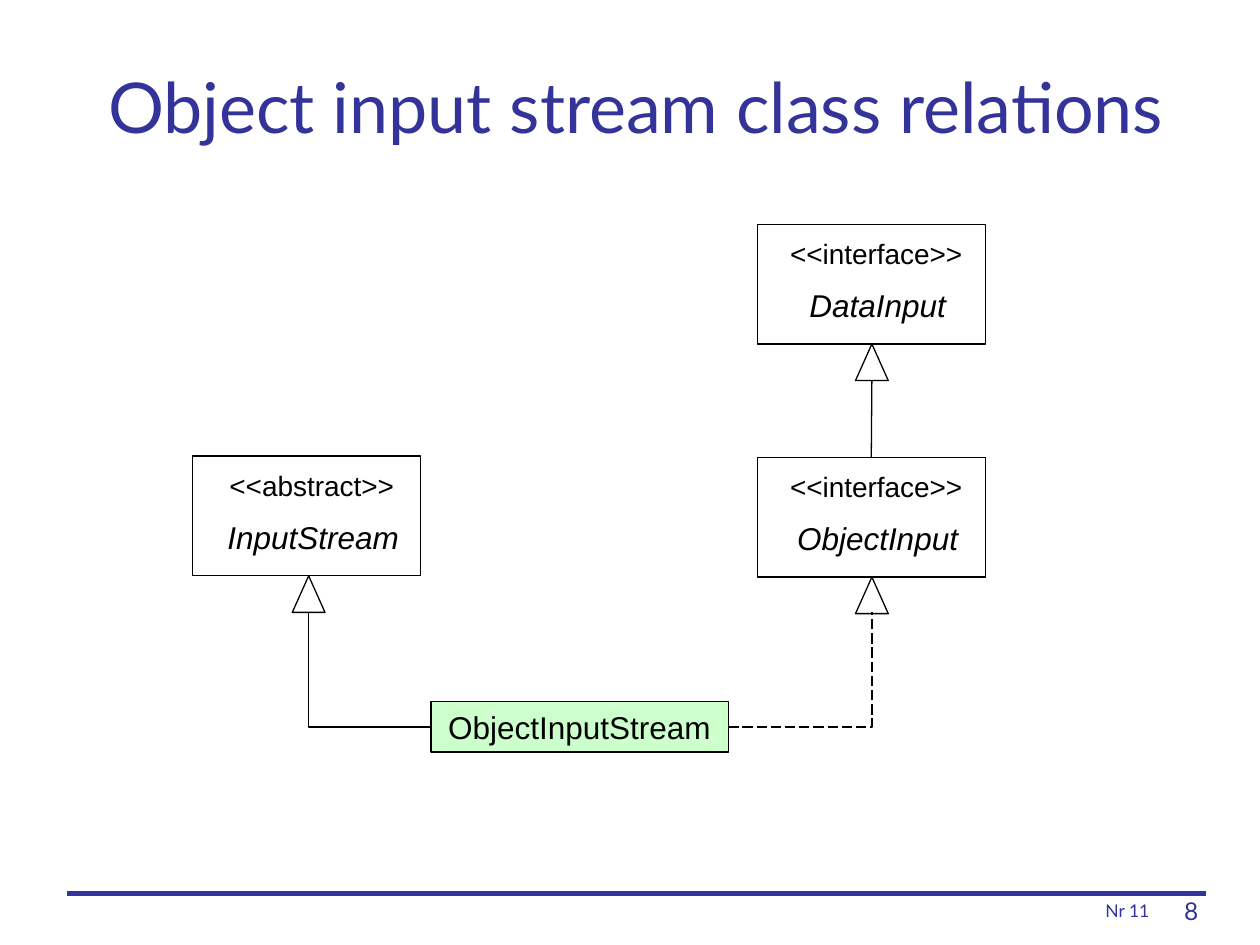
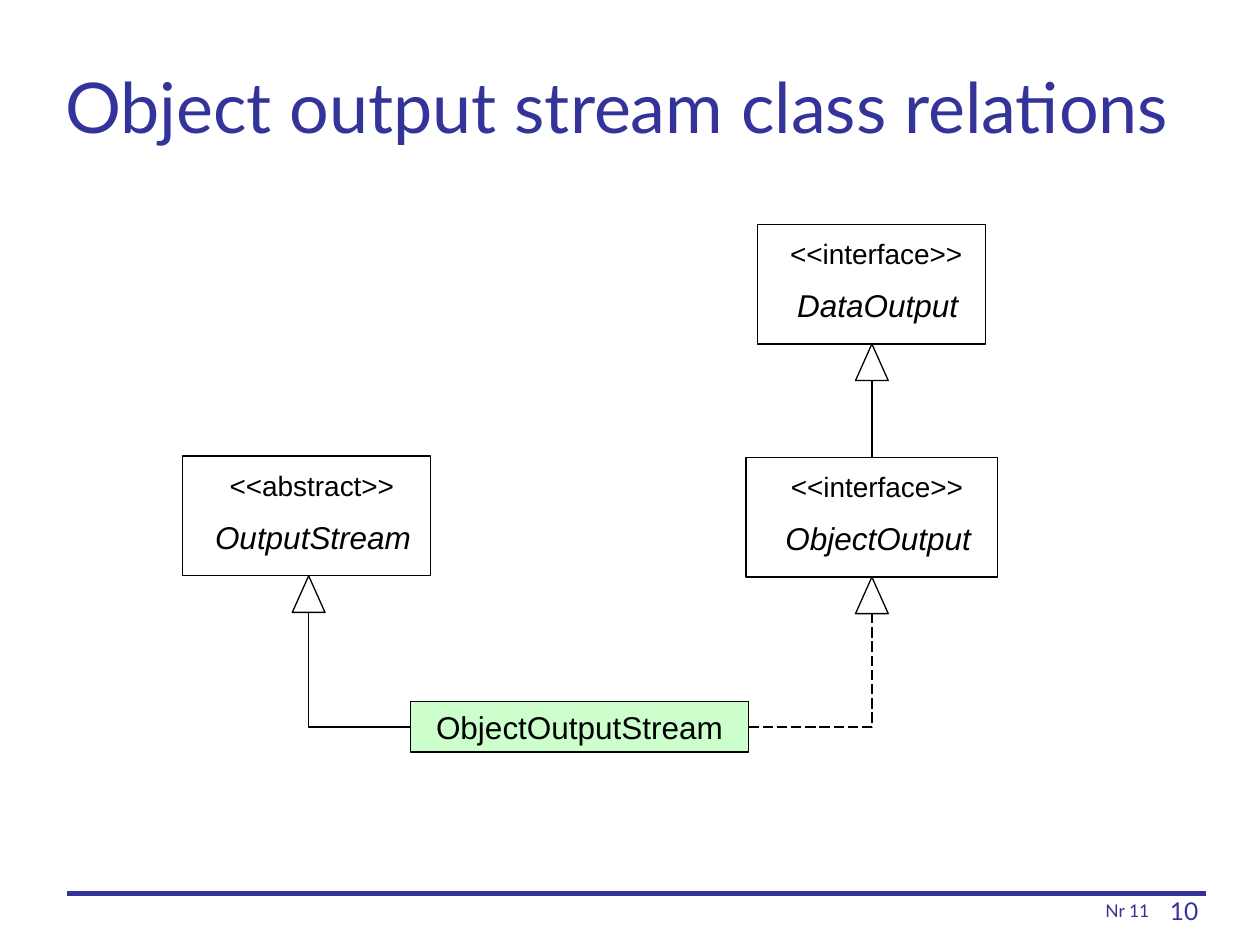
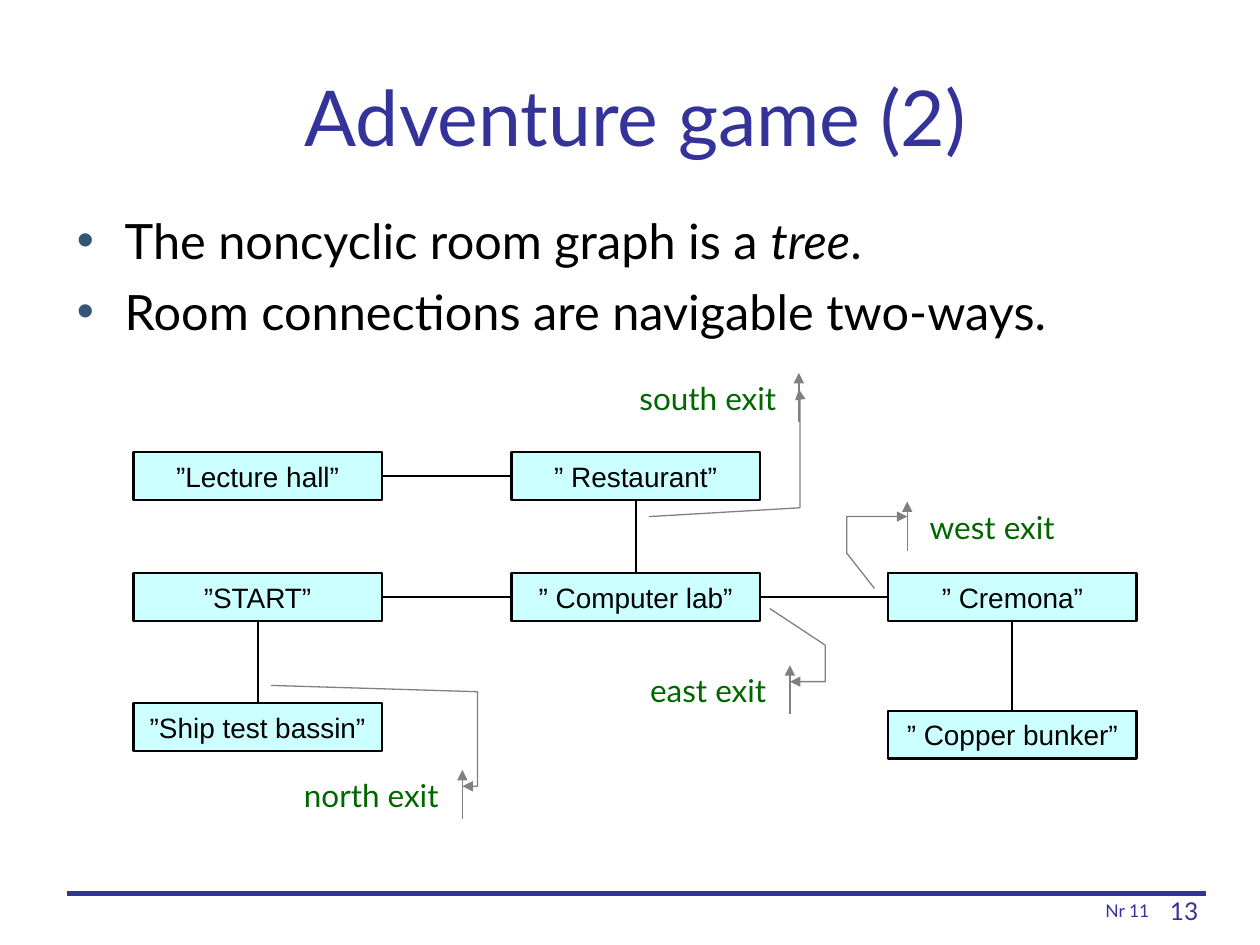
from pptx import Presentation
from pptx import util as u
from pptx.dml.color import RGBColor
from pptx.enum import dml, shapes, text
from pptx.oxml import parse_xml
from pptx.oxml.ns import nsdecls, qn

# Shared colours and text formats
C = {"navy": "333399", "black": "000000", "green": "CCFFCC", "cyan": "CCFFFF",
     "gray": "808080", "exit": "006600", "bullet": "345577"}
FMT = {
    "title": {"name": "Lato", "size": u.Pt(40), "color": "navy"},
    "number": {"name": "Lato", "size": u.Pt(14), "color": "navy"},
    "footer": {"name": "Lato", "size": u.Pt(10), "color": "navy"},
    "body": {"name": "Lato", "size": u.Pt(27.8), "color": "black"},
    "exit": {"name": "Lato", "size": u.Pt(18), "color": "exit"},
    "class": {"name": "Arial", "size": u.Pt(18), "color": "black"},
    "abstract": {"name": "Arial", "size": u.Pt(18), "color": "black", "italic": True},
    "label": {"name": "Arial", "size": u.Pt(16), "color": "black"},
}
LEFT, CENTER, RIGHT = text.PP_ALIGN.LEFT, text.PP_ALIGN.CENTER, text.PP_ALIGN.RIGHT
TOP, MIDDLE, BOTTOM = text.MSO_ANCHOR.TOP, text.MSO_ANCHOR.MIDDLE, text.MSO_ANCHOR.BOTTOM
RECT, TRIANGLE = shapes.MSO_SHAPE.RECTANGLE, shapes.MSO_SHAPE.ISOSCELES_TRIANGLE
STRAIGHT, ELBOW = shapes.MSO_CONNECTOR.STRAIGHT, shapes.MSO_CONNECTOR.ELBOW


def write(sp, words, fmt, align=CENTER, anchor=MIDDLE, p=None):
    """Add a formatted run to a paragraph of the shape, by default the first."""
    tf = sp.text_frame
    tf.word_wrap, tf.auto_size, tf.vertical_anchor = True, text.MSO_AUTO_SIZE.NONE, anchor
    p = p or tf.paragraphs[0]
    p.alignment, p.space_before = align, p.space_before or u.Pt(0)
    r = p.add_run()
    r.text = words
    for key, value in fmt.items():
        if key == "color":
            r.font.color.rgb = RGBColor.from_string(C[value])
        else:
            setattr(r.font, key, value)


def style(sp, color="black", width=0.75, fill=None):
    """Set outline and fill, without a shadow."""
    sp.line.color.rgb = RGBColor.from_string(C[color])
    sp.line.width = u.Pt(width)
    if isinstance(sp, type(None)) or not hasattr(sp, "fill"):
        sp._element.spPr.append(parse_xml(f"<a:effectLst {nsdecls('a')}/>"))
        return sp
    sp.shadow.inherit = False
    if fill:
        sp.fill.solid()
        sp.fill.fore_color.rgb = RGBColor.from_string(C[fill])
    else:
        sp.fill.background()
    return sp


prs = Presentation()
prs.slide_width, prs.slide_height = u.Inches(10), u.Inches(7.5)

# Titles and footers: layout, number, title, title left, top, width, size
slides = []
for layout, number, title, x, y, w, size in [
    (5, 8, "Object input stream class relations", 0.51, 0.21, 9.07, 40),
    (5, 10, "Object output stream class relations", 0.2, 0.21, 9.39, 40),
    (1, 13, "Adventure game (2)", 0.51, 0.29, 9.07, 44),
]:
    s = prs.slides.add_slide(prs.slide_layouts[layout])
    slides.append(s)
    sp = s.shapes.title
    sp.left, sp.top, sp.width, sp.height = map(u.Inches, (x, y, w, 1.25))
    write(sp, title, {**FMT["title"], "size": u.Pt(size)})
    style(s.shapes.add_connector(STRAIGHT, *map(u.Inches, (0.53, 7.09, 9.57, 7.09))), "navy", 3)
    sp = s.shapes.add_textbox(*map(u.Inches, (9.08, 7.06, 0.58, 0.33)))
    write(sp, f"{number} ", FMT["number"], RIGHT, TOP)
    sp = s.shapes.add_textbox(*map(u.Inches, (7.44, 7.06, 1.78, 0.3)))
    write(sp, "Nr 11", FMT["footer"], RIGHT, BOTTOM)

# Class diagrams: stream side, then each class box's left and width
LEFT_AXIS, RIGHT_AXIS, JOIN = 2.45, 6.92, 5.77
for s, kind, stream_x, stream_w, base, data, obj in [
    (slides[0], "Input", 3.42, 2.36, (1.53, 1.81), (6.01, 1.81), (6.01, 1.81)),
    (slides[1], "Output", 3.26, 2.68, (1.45, 1.97), (6.01, 1.81), (5.92, 2)),
]:
    sp = s.shapes.add_shape(RECT, *map(u.Inches, (stream_x, 5.57, stream_w, 0.4)))
    write(style(sp, fill="green"), f"Object{kind}Stream", FMT["class"])

    for stereotype, name, (x, w), y, axis in [
        ("<<abstract>>", f"{kind}Stream", base, 3.62, LEFT_AXIS),
        ("<<interface>>", f"Data{kind}", data, 1.78, RIGHT_AXIS),
        ("<<interface>>", f"Object{kind}", obj, 3.63, RIGHT_AXIS),
    ]:
        sp = s.shapes.add_textbox(*map(u.Inches, (x + 0.08, y + 0.05, w - 0.08, 0.37)))
        write(sp, stereotype, FMT["label"], anchor=TOP)
        sp = s.shapes.add_textbox(*map(u.Inches, (x + 0.13, y + 0.44, w - 0.16, 0.4)))
        write(sp, name, FMT["abstract"], anchor=TOP)
        box = style(s.shapes.add_shape(RECT, *map(u.Inches, (x, y, w, 0.95))))
        style(s.shapes.add_shape(TRIANGLE, *map(u.Inches, (axis - 0.13, y + 0.95, 0.26, 0.29))))

    # Inheritance lines; box is the object interface here
    cn = style(s.shapes.add_connector(STRAIGHT, *map(u.Inches, (RIGHT_AXIS, 3.63, RIGHT_AXIS, 3.02))))
    cn.begin_connect(box, 0)
    for x, axis, dash in [(stream_x, LEFT_AXIS, None),
                          (stream_x + stream_w, RIGHT_AXIS, dml.MSO_LINE.LONG_DASH)]:
        cn = style(s.shapes.add_connector(ELBOW, *map(u.Inches, (x, JOIN, axis, 4.86))))
        cn._element.spPr.find(qn("a:prstGeom")).set("prst", "bentConnector2")
        if dash:
            cn.line.dash_style = dash

# Adventure game: bullet list
s = slides[2]
sp = s.placeholders[1]
sp.left, sp.top, sp.width, sp.height = map(u.Inches, (0.51, 1.62, 8.99, 1.26))
tf = sp.text_frame
for i, parts in enumerate([
    [("The noncyclic room graph is a ", False), ("tree", True), (".", False)],
    [("Room connections are navigable two-ways.", False)],
]):
    p = tf.add_paragraph() if i else tf.paragraphs[0]
    pPr = p._p.get_or_add_pPr()
    pPr.set("marL", str(u.Inches(0.38)))
    pPr.set("indent", str(u.Inches(-0.38)))
    pPr.append(parse_xml(f'<a:buClr {nsdecls("a")}><a:srgbClr val="{C["bullet"]}"/></a:buClr>'))
    pPr.append(parse_xml(f'<a:buChar {nsdecls("a")} char="•"/>'))
    p.space_before = u.Pt(7.5 if i else 0)
    for words, italic in parts:
        write(sp, words, {**FMT["body"], "italic": italic}, LEFT, TOP, p)

# Rooms in three columns
COLS = [1.06, 4.06, 7.05]
rooms = {}
for name, words, col, y in [
    ("hall", "”Lecture hall”", 0, 3.59),
    ("start", "”START”", 0, 4.55),
    ("restaurant", "” Restaurant”", 1, 3.59),
    ("lab", "” Computer lab”", 1, 4.55),
    ("ship", "”Ship test bassin”", 0, 5.58),
    ("cremona", "” Cremona”", 2, 4.55),
    ("bunker", "” Copper bunker”", 2, 5.64),
]:
    sp = s.shapes.add_shape(RECT, *map(u.Inches, (COLS[col], y, 1.97, 0.38)))
    write(style(sp, width=1.25, fill="cyan"), words, FMT["label"])
    rooms[name] = sp

# Doors between rooms: right side to left side, or bottom to top
for a, b, side_a, side_b in [
    ("hall", "restaurant", 3, 1), ("start", "lab", 3, 1), ("lab", "cremona", 3, 1),
    ("restaurant", "lab", 2, 0), ("start", "ship", 2, 0), ("cremona", "bunker", 2, 0),
]:
    cn = style(s.shapes.add_connector(STRAIGHT, 0, 0, 0, 0), width=1.25)
    cn.begin_connect(rooms[a], side_a)
    cn.end_connect(rooms[b], side_b)

# Exit callouts: the leader runs through four points, from the accent bar
W, H = 1.42, 0.39
for words, x, y, align, leader in [
    ("west exit", 7.28, 3.98, LEFT, [(7.2, 4.1), (6.72, 4.1), (6.72, 4.39), (6.94, 4.67)]),
    ("east exit", 4.76, 5.28, RIGHT, [(6.27, 5.41), (6.55, 5.41), (6.55, 5.12), (6.11, 4.83)]),
    ("north exit", 2.16, 6.11, RIGHT, [(3.67, 6.24), (3.79, 6.24), (3.79, 5.49), (2.15, 5.44)]),
    ("south exit", 4.84, 2.96, RIGHT, [(6.34, 3.09), (6.35, 3.09), (6.35, 4.03), (5.15, 4.1)]),
]:
    sp = s.shapes.add_shape(shapes.MSO_SHAPE.LINE_CALLOUT_3_ACCENT_BAR, *map(u.Inches, (x, y, W, H)))
    for i, (px, py) in enumerate(leader):
        sp.adjustments[2 * i] = (py - y) / H
        sp.adjustments[2 * i + 1] = (px - x) / W
    write(style(sp, "gray"), words, FMT["exit"], align, TOP)
    sp.line._get_or_add_ln().append(parse_xml(f'<a:headEnd {nsdecls("a")} type="triangle"/>'))

prs.save("out.pptx")
